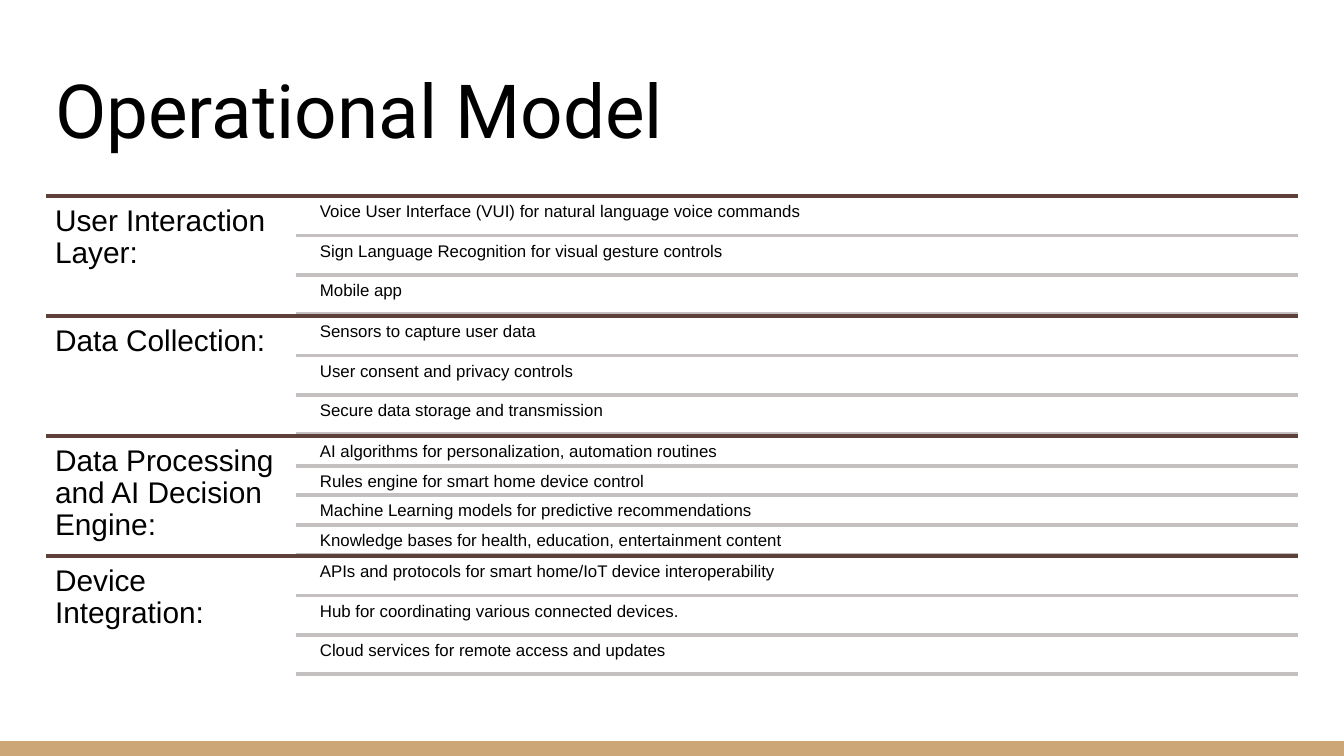
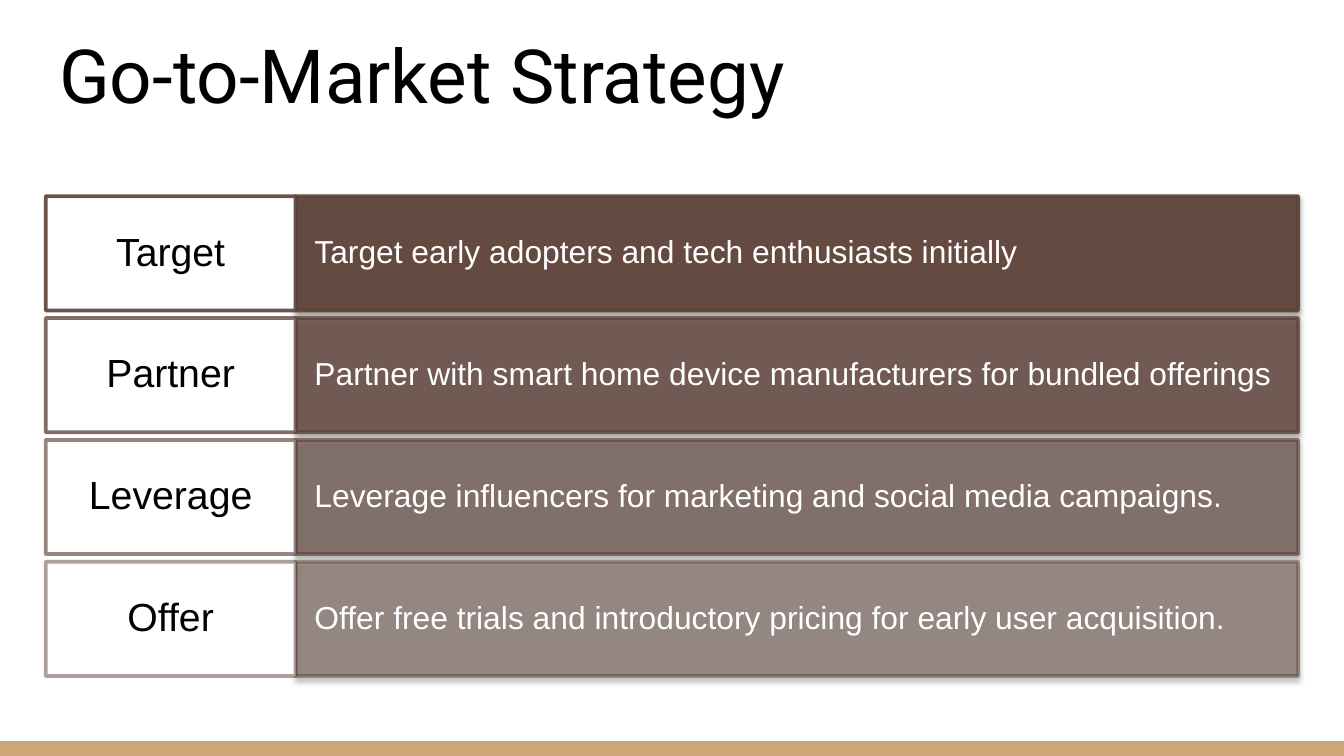
from lxml.etree import SubElement
from pptx import Presentation
from pptx.dml.color import RGBColor
from pptx.enum.shapes import MSO_CONNECTOR, MSO_SHAPE
from pptx.enum.text import MSO_ANCHOR as Anchor, PP_ALIGN as Align
from pptx.oxml.ns import qn
from pptx.util import Inches, Pt

LAYERS = [
    ("User Interaction Layer:", [
        "Voice User Interface (VUI) for natural language voice commands",
        "Sign Language Recognition for visual gesture controls",
        "Mobile app",
    ]),
    ("Data Collection:", [
        "Sensors to capture user data",
        "User consent and privacy controls",
        "Secure data storage and transmission",
    ]),
    ("Data Processing and AI Decision Engine:", [
        "AI algorithms for personalization, automation routines",
        "Rules engine for smart home device control",
        "Machine Learning models for predictive recommendations",
        "Knowledge bases for health, education, entertainment content",
    ]),
    ("Device Integration:", [
        "APIs and protocols for smart home/IoT device interoperability",
        "Hub for coordinating various connected devices.",
        "Cloud services for remote access and updates",
    ]),
]
STRATEGIES = [
    ("Target", "Target early adopters and tech enthusiasts initially"),
    ("Partner", "Partner with smart home device manufacturers for bundled offerings"),
    ("Leverage", "Leverage influencers for marketing and social media campaigns."),
    ("Offer", "Offer free trials and introductory pricing for early user acquisition."),
]

COLORS = {
    "band": "CCA677",
    "brown": "5D4037",
    "rule": "C4C0BF",
    "black": "000000",
    "white": "FFFFFF",
}
TITLE_FONT, BODY_FONT = "Roboto", "Arial"
SLIDE_WIDTH = 10
SLIDE_HEIGHT = SLIDE_WIDTH * 9 / 16
BAND_HEIGHT = 0.11
LEFT, SPLIT, RIGHT = 0.34, 2.2, 9.66
TOP, BOTTOM = 1.46, 5.03


def rgb(name):
    return RGBColor.from_string(COLORS[name])


def box(left, top, width, height):
    return [Inches(value) for value in (left, top, width, height)]


def write(shape, text, size, color="black", font=BODY_FONT, insets=(0.07, 0.07, 0.07, 0.07),
          anchor=Anchor.TOP, align=Align.LEFT, spacing=0.9):
    frame = shape.text_frame
    frame.text = text
    frame.word_wrap = True
    frame.vertical_anchor = anchor
    frame.margin_left, frame.margin_top, frame.margin_right, frame.margin_bottom = map(Inches, insets)
    paragraph = frame.paragraphs[0]
    paragraph.alignment = align
    paragraph.line_spacing = spacing
    run_font = paragraph.runs[0].font
    run_font.name, run_font.size = font, Pt(size)
    run_font.color.rgb = rgb(color)


def add_title(slide, text, top, insets, spacing):
    title = slide.shapes.title
    title.left, title.top, title.width, title.height = box(LEFT, top, RIGHT - LEFT, 0.91)
    write(title, text, 40, font=TITLE_FONT, insets=insets, anchor=Anchor.MIDDLE, spacing=spacing)


def add_text(slide, bounds, text, size, **style):
    write(slide.shapes.add_textbox(*box(*bounds)), text, size, **style)


def add_rule(slide, left, top, color):
    rule = slide.shapes.add_connector(
        MSO_CONNECTOR.STRAIGHT, Inches(left), Inches(top), Inches(RIGHT), Inches(top))
    rule.line.color.rgb = rgb(color)
    rule.line.width = Pt(2)
    SubElement(rule.element.spPr, qn("a:effectLst"))


def add_rectangle(slide, bounds, fill, line=None):
    shape = slide.shapes.add_shape(MSO_SHAPE.RECTANGLE, *box(*bounds))
    shape.shadow.inherit = False
    shape.fill.solid()
    shape.fill.fore_color.rgb = rgb(fill)
    if line:
        shape.line.color.rgb = rgb(line)
        shape.line.width = Pt(2)
    else:
        shape.line.fill.background()
    return shape


def set_opacity(shape, part, percent):
    for color in shape.element.xpath(f"./p:spPr/{part}/a:srgbClr"):
        SubElement(color, qn("a:alpha"), val=str(round(percent * 1000)))


def add_shadow(shape):
    effects = shape.element.spPr.find(qn("a:effectLst"))
    shadow = SubElement(effects, qn("a:outerShdw"), blurRad=str(Pt(3.1)), dist=str(Pt(1.6)),
                        dir="5400000", rotWithShape="0")
    color = SubElement(shadow, qn("a:srgbClr"), val=COLORS["black"])
    SubElement(color, qn("a:alpha"), val="38000")


def build_operational_model(slide):
    add_title(slide, "Operational Model", 0.35, (0.07, 0.04, 0.07, 0.04), 1.0)
    layer_height = (BOTTOM - TOP) / len(LAYERS)
    for index, (name, items) in enumerate(LAYERS):
        top = TOP + index * layer_height
        add_rule(slide, LEFT, top, "brown")
        add_text(slide, (LEFT, top, SPLIT - LEFT, layer_height), name, 16)
        count = len(items)
        item_height = layer_height / (count + 0.05 * (count + 1))
        gap = 0.05 * item_height
        for row, item in enumerate(items):
            item_top = top + gap + row * (item_height + gap)
            add_text(slide, (2.34, item_top, 7.31, item_height), item, 9, insets=(0.04,) * 4)
            add_rule(slide, SPLIT, item_top + item_height, "rule")


def build_market_strategy(slide):
    add_title(slide, "Go-to-Market Strategy", 0.47, (0.1, 0.1, 0.1, 0.77), 0.9)
    height = 0.85
    steps = len(STRATEGIES) - 1
    pitch = (BOTTOM - TOP - height) / steps
    for index, (name, description) in enumerate(STRATEGIES):
        top = TOP + index * pitch
        opacity = 90 - 40 * index / steps
        bar_bounds = (SPLIT, top, RIGHT - SPLIT, height)
        label_bounds = (LEFT, top, SPLIT - LEFT, height)
        bar = add_rectangle(slide, bar_bounds, "brown", "brown")
        set_opacity(bar, "a:solidFill", opacity)
        add_shadow(bar)
        add_text(slide, bar_bounds, description, 17, color="white",
                 insets=(0.14, 0.22, 0.14, 0.22), anchor=Anchor.MIDDLE)
        label = add_rectangle(slide, label_bounds, "white", "brown")
        add_text(slide, label_bounds, name, 21, insets=(0.1, 0.08, 0.1, 0.08),
                 anchor=Anchor.MIDDLE, align=Align.CENTER)
        for shape in (bar, label):
            set_opacity(shape, "a:ln/a:solidFill", opacity)


def main():
    presentation = Presentation()
    presentation.slide_width = Inches(SLIDE_WIDTH)
    presentation.slide_height = Inches(SLIDE_HEIGHT)
    layout = presentation.slide_layouts.get_by_name("Title Only")
    slides = [presentation.slides.add_slide(layout) for _ in range(2)]
    band_bounds = (0, SLIDE_HEIGHT - BAND_HEIGHT, SLIDE_WIDTH, BAND_HEIGHT)
    band = add_rectangle(slides[0], band_bounds, "band")
    layout.shapes.element.append(band.element)
    build_operational_model(slides[0])
    build_market_strategy(slides[1])
    presentation.save("out.pptx")


if __name__ == "__main__":
    main()
